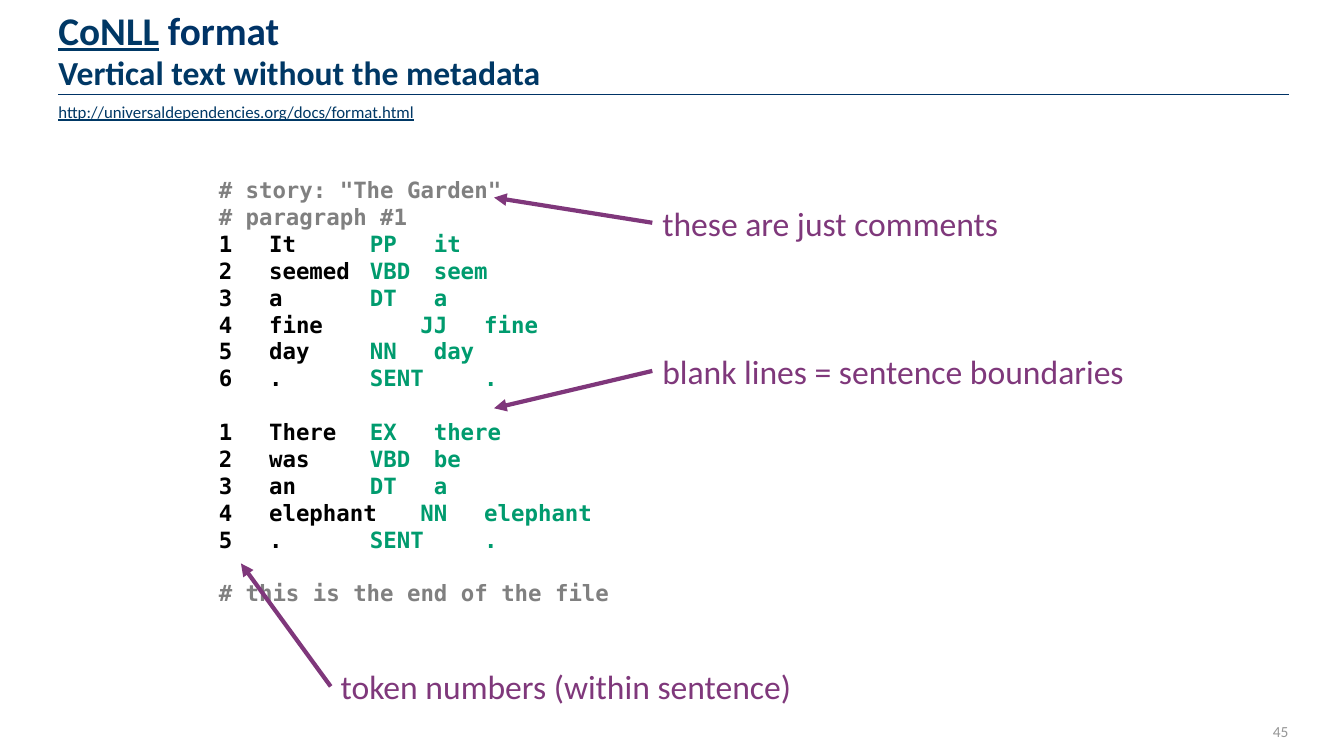
from pptx import Presentation
from pptx.dml.color import RGBColor
from pptx.enum.shapes import MSO_CONNECTOR
from pptx.enum.text import MSO_ANCHOR, MSO_AUTO_SIZE, PP_ALIGN
from pptx.oxml.ns import qn
from pptx.util import Inches, Pt
from lxml.etree import SubElement

COLORS = {
    "navy": "003865", "rule": "003366", "gray": "808080", "black": "000000",
    "green": "009B6E", "plum": "7F387B", "arrow": "7F377B", "page": "969696",
}
SANS, MONO = "Calibri", "DejaVu Sans Mono"
PITCH = Pt(19.2)

STORY = [("It", "PP", "it"), ("seemed", "VBD", "seem"), ("a", "DT", "a"),
         ("fine", "JJ", "fine"), ("day", "NN", "day"), (".", "SENT", ".")]
BEAST = [("There", "EX", "there"), ("was", "VBD", "be"), ("an", "DT", "a"),
         ("elephant", "NN", "elephant"), (".", "SENT", ".")]

# Label, its left and top, and the tip of its arrow
NOTES = [
    ("these are just comments", 6.47, 1.96, 3.65, (4.9, 1.96)),
    ("blank lines = sentence boundaries", 6.47, 3.43, 4.79, (4.9, 4.05)),
    ("token numbers (within sentence)", 3.28, 6.56, 4.79, (2.39, 5.59)),
]


def color(name):
    return RGBColor.from_string(COLORS[name])


def write(para, text, size=16, font=SANS, ink="navy", bold=False, under=False):
    run = para.add_run()
    run.text = text
    style = run.font
    style.size, style.name = Pt(size), font
    style.bold, style.underline = bold, under
    style.color.rgb = color(ink)


def set_tabs(para, step=0.5, count=8):
    stops = SubElement(para._p.get_or_add_pPr(), qn("a:tabLst"))
    for i in range(1, count + 1):
        SubElement(stops, qn("a:tab"), pos=str(Inches(step * i)), algn="l")


class Deck:
    def __init__(self, width, height):
        self.prs = Presentation()
        self.prs.slide_width, self.prs.slide_height = Inches(width), Inches(height)
        self.slide = self.prs.slides.add_slide(self.prs.slide_layouts[5])

    def frame(self, shape, pads, anchor):
        frame = shape.text_frame
        frame.word_wrap = True
        frame.auto_size = MSO_AUTO_SIZE.NONE
        frame.vertical_anchor = anchor
        (frame.margin_left, frame.margin_top,
         frame.margin_right, frame.margin_bottom) = map(Inches, pads)
        return frame

    def title(self, x, y, w, h):
        shape = self.slide.shapes.title
        shape.left, shape.top, shape.width, shape.height = map(Inches, (x, y, w, h))
        para = self.frame(shape, (0, 0, 0, 0), MSO_ANCHOR.BOTTOM).paragraphs[0]
        para.alignment = PP_ALIGN.LEFT
        para.line_spacing = Pt(28)
        return para

    def box(self, x, y, w, h, pads=(0.1, 0.05, 0.1, 0.05), anchor=MSO_ANCHOR.TOP):
        shape = self.slide.shapes.add_textbox(*map(Inches, (x, y, w, h)))
        return self.frame(shape, pads, anchor)

    def line(self, start, end, ink, width, arrow=False):
        line = self.slide.shapes.add_connector(
            MSO_CONNECTOR.STRAIGHT, *map(Inches, (*start, *end)))
        line.line.color.rgb = color(ink)
        line.line.width = Pt(width)
        if arrow:
            SubElement(line.line._get_or_add_ln(), qn("a:tailEnd"), type="triangle")
        SubElement(line._element.spPr, qn("a:effectLst"))

    def note(self, text, x, y, width, tip):
        para = self.box(x, y, width, 0.5).paragraphs[0]
        write(para, text, size=24, ink="plum")
        self.line((x, y + 0.25), tip, "arrow", 3, arrow=True)

    def code(self, frame, parts, gap=False):
        first = frame.paragraphs[0]
        para = frame.add_paragraph() if first.runs else first
        set_tabs(para)
        para.line_spacing = PITCH
        if gap:
            para.space_before = PITCH
        for text, ink in parts:
            write(para, text, font=MONO, ink=ink, bold=True)

    def tokens(self, frame, rows, gap=False):
        for num, (word, tag, lemma) in enumerate(rows, 1):
            tabs = "\t" if len(word) > 4 else "\t\t"
            parts = [(f"{num}\t{word}{tabs}", "black"), (f"{tag}\t {lemma}", "green")]
            self.code(frame, parts, gap and num == 1)


def main():
    deck = Deck(13.33, 7.5)

    # Heading and rule
    deck.line((12.78, 0.94), (0.58, 0.94), "rule", 0.75)
    head = deck.title(0.58, 0.13, 8.44, 0.79)
    write(head, "CoNLL", size=28, bold=True, under=True)
    write(head, " format", size=28, ink="rule", bold=True)
    head.add_line_break()
    write(head, "Vertical text without the metadata", size=24, bold=True)

    # Sample file
    file = deck.box(2.17, 1.75, 9, 5.57, pads=(0, 0, 0, 0))
    deck.code(file, [('# story: "The Garden"', "gray")])
    deck.code(file, [("# paragraph #1", "gray")])
    deck.tokens(file, STORY)
    deck.tokens(file, BEAST, gap=True)
    deck.code(file, [("# this is the end of the file", "gray")], gap=True)

    # Labels with arrows
    for note in NOTES:
        deck.note(*note)

    # Source address
    link = deck.box(0.58, 0.96, 4.58, 0.3, pads=(0, 0.05, 0, 0.05))
    write(link.paragraphs[0], "http://universaldependencies.org/docs/format.html",
          size=12, under=True)

    # Page number
    page = deck.box(12.12, 7.01, 0.66, 0.49, (0.1, 0, 0, 0), MSO_ANCHOR.MIDDLE)
    page.paragraphs[0].alignment = PP_ALIGN.RIGHT
    write(page.paragraphs[0], "45", size=11, ink="page")

    deck.prs.save("out.pptx")


if __name__ == "__main__":
    main()
